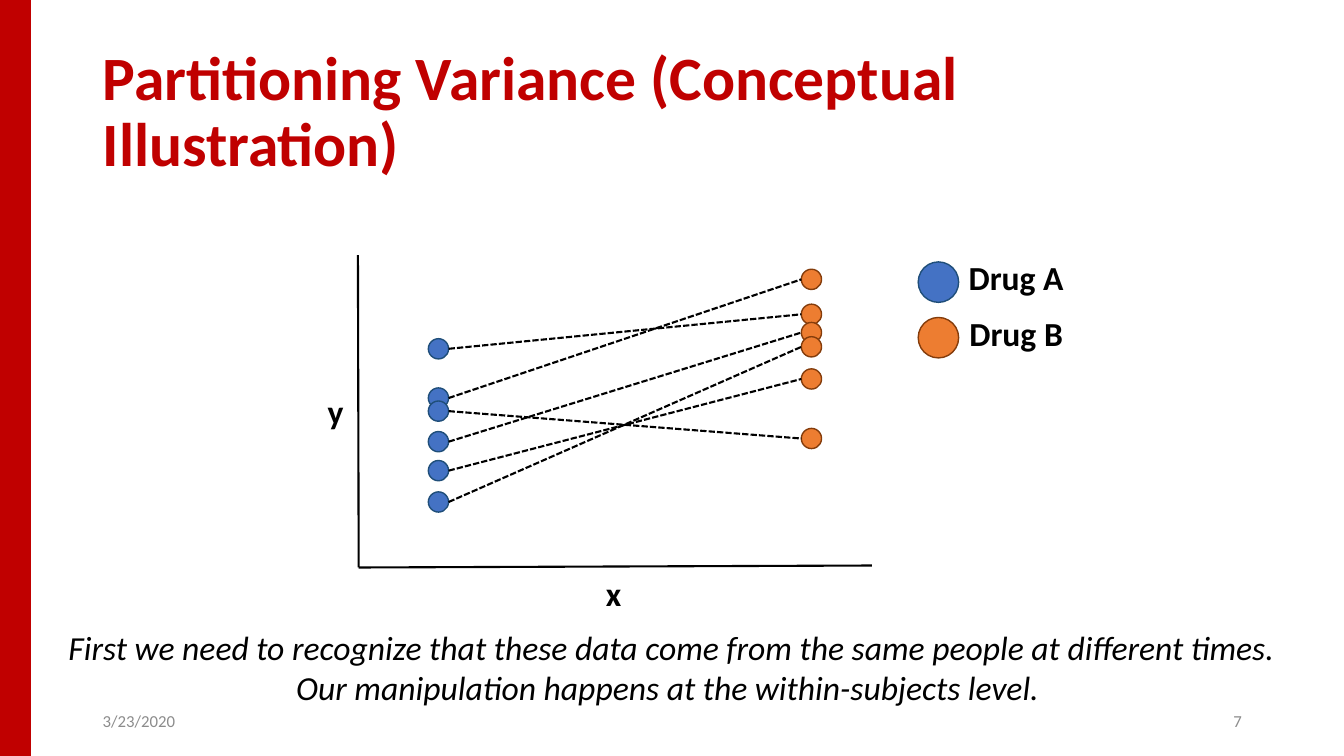
from dataclasses import dataclass

from lxml.etree import SubElement
from pptx import Presentation
from pptx.dml.color import RGBColor
from pptx.enum.dml import MSO_LINE_DASH_STYLE as Dash
from pptx.enum.shapes import MSO_CONNECTOR as Connector, MSO_SHAPE as Shape
from pptx.enum.text import MSO_ANCHOR as Anchor, MSO_AUTO_SIZE as AutoSize, PP_ALIGN as Align
from pptx.oxml.ns import qn
from pptx.util import Cm, Pt


@dataclass(frozen=True)
class Theme:
    font: str = "Calibri"
    red: str = "C00000"
    black: str = "000000"
    grey: str = "8C8C8C"
    drug_a: tuple = ("4472C4", "1F4E79")
    drug_b: tuple = ("ED7D31", "843C0B")
    title_size: int = 44
    body_size: int = 24
    footer_size: int = 12
    thin: float = 1
    rule: float = 1.5


THEME = Theme()
DOT = 0.51
LEGEND_DOT = 1.02
DRUG_A_X, DRUG_B_X = 11.05, 20.45
SUBJECTS = [
    (10.03, 7.04),
    (8.79, 7.92),
    (11.86, 9.55),
    (11.13, 8.38),
    (12.65, 8.74),
    (10.36, 11.05),
]
CAPTION = [
    "First we need to recognize that these data come from the same people at different times.",
    "Our manipulation happens at the within-subjects level. ",
]


def rgb(value):
    return RGBColor.from_string(value)


def add_filled(slide, kind, box, colours):
    filled = slide.shapes.add_shape(kind, *map(Cm, box))
    filled.shadow.inherit = False
    fill, outline = colours
    filled.fill.solid()
    filled.fill.fore_color.rgb = rgb(fill)
    filled.line.color.rgb = rgb(outline)
    filled.line.width = Pt(THEME.thin)


def add_dot(slide, x, y, diameter, colours):
    box = (x - diameter / 2, y - diameter / 2, diameter, diameter)
    add_filled(slide, Shape.OVAL, box, colours)


def add_rule(slide, start, end, dash=None):
    rule = slide.shapes.add_connector(Connector.STRAIGHT, *map(Cm, start + end))
    rule.line.color.rgb = rgb(THEME.black)
    rule.line.width = Pt(THEME.rule)
    if dash:
        rule.line.dash_style = dash
    SubElement(rule.element.spPr, qn("a:effectLst"))


def add_text(slide, box, lines, size, colour=THEME.black, align=Align.LEFT,
             bold=False, italic=False, wrap=False, spacing=None):
    frame = slide.shapes.add_textbox(*map(Cm, box)).text_frame
    frame.word_wrap = wrap
    frame.auto_size = AutoSize.NONE if wrap else AutoSize.SHAPE_TO_FIT_TEXT
    frame.vertical_anchor = Anchor.MIDDLE if wrap else Anchor.TOP
    for index, line in enumerate(lines):
        paragraph = frame.add_paragraph() if index else frame.paragraphs[0]
        paragraph.alignment = align
        if spacing:
            paragraph.line_spacing = spacing
        run = paragraph.add_run()
        run.text = line
        run.font.name = THEME.font
        run.font.size = Pt(size)
        run.font.bold = bold
        run.font.italic = italic
        run.font.color.rgb = rgb(colour)


def add_frame(slide):
    add_filled(slide, Shape.RECTANGLE, (0, 0, 0.76, 19.05), (THEME.red, THEME.red))
    add_text(slide, (2.34, 1.02, 29.21, 3.68),
             ["Partitioning Variance (Conceptual Illustration)"],
             THEME.title_size, THEME.red, bold=True, wrap=True, spacing=0.9)
    for left, words, align in [(2.34, "3/23/2020", Align.LEFT), (23.93, "7", Align.RIGHT)]:
        add_text(slide, (left, 17.65, 7.62, 1.02), [words],
                 THEME.footer_size, THEME.grey, align, wrap=True)


def add_axes(slide):
    origin = (9.04, 14.3)
    add_rule(slide, (9.02, 6.43), origin)
    add_rule(slide, (21.97, 14.25), origin)
    for left, top, name in [(8, 9.73, "y"), (15.01, 14.3, "x")]:
        add_text(slide, (left, top, 0.91, 1.27), [name],
                 THEME.body_size, align=Align.CENTER, bold=True)


def add_subject(slide, drug_a_y, drug_b_y):
    add_dot(slide, DRUG_A_X, drug_a_y, DOT, THEME.drug_a)
    add_dot(slide, DRUG_B_X, drug_b_y, DOT, THEME.drug_b)
    add_rule(slide, (DRUG_A_X + DOT / 2, drug_a_y), (DRUG_B_X - DOT / 2, drug_b_y),
             Dash.SQUARE_DOT)


def add_legend(slide):
    entries = [("Drug A", THEME.drug_a, 24.16), ("Drug B", THEME.drug_b, 24.18)]
    for row, (name, colours, left) in enumerate(entries):
        top = 6.35 + 1.4 * row
        add_dot(slide, 23.65, top + 0.76, LEGEND_DOT, colours)
        add_text(slide, (left, top, 2.9, 1.27), [name], THEME.body_size, bold=True)


def main():
    deck = Presentation()
    deck.slide_width, deck.slide_height = Cm(33.87), Cm(19.05)
    slide = deck.slides.add_slide(deck.slide_layouts[6])
    add_frame(slide)
    add_axes(slide)
    add_legend(slide)
    for drug_a_y, drug_b_y in SUBJECTS:
        add_subject(slide, drug_a_y, drug_b_y)
    add_text(slide, (1.3, 15.67, 31.24, 2.31), CAPTION, THEME.body_size,
             align=Align.CENTER, italic=True)
    deck.save("out.pptx")


if __name__ == "__main__":
    main()
